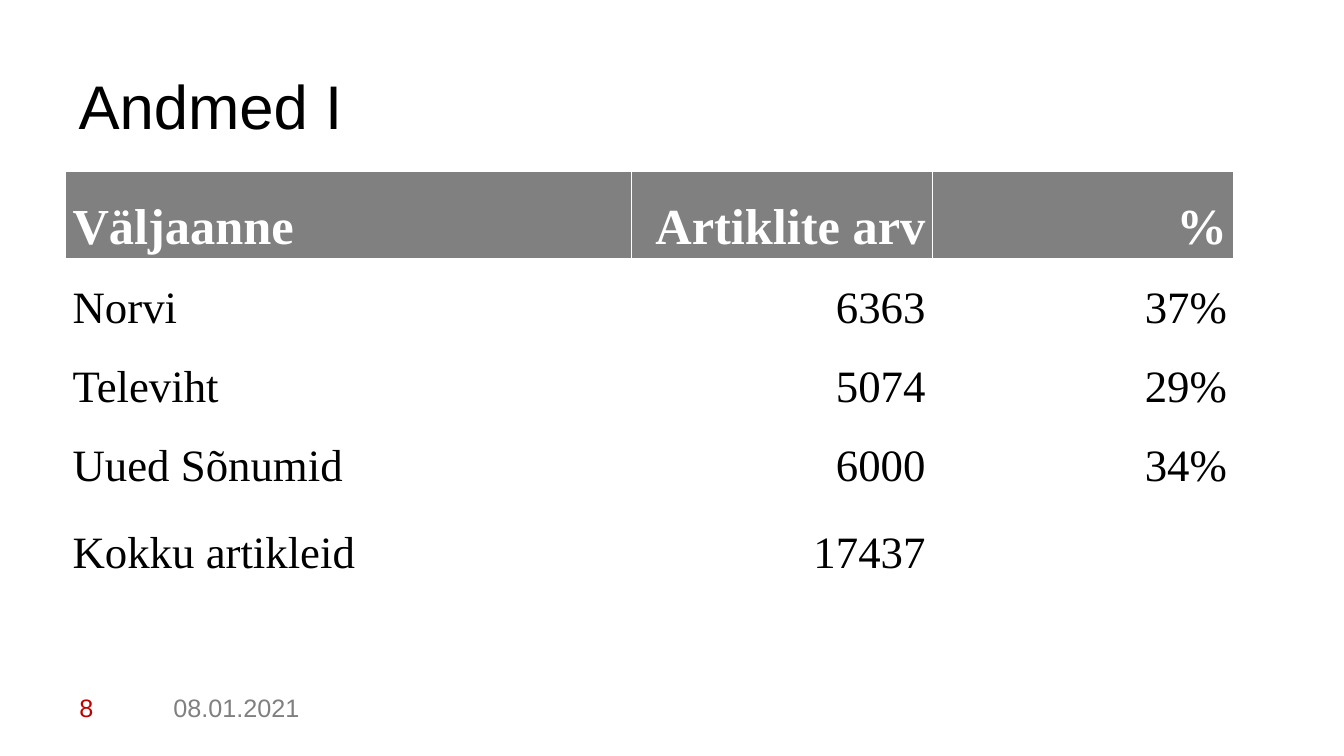
from pptx import Presentation
from pptx.dml.color import RGBColor
from pptx.enum.text import MSO_ANCHOR, PP_ALIGN
from pptx.util import Inches, Pt

COLORS = {"black": "000000", "white": "FFFFFF", "gray": "808080", "red": "BF0000"}
COLUMN_WIDTHS = [5.61, 2.99, 2.99]
ROW_HEIGHTS = [0.87, 0.78, 0.78, 0.87, 0.87]
ARTICLE_ROWS = [
    ("Väljaanne", "Artiklite arv", "%"),
    ("Norvi", "6363", "37%"),
    ("Televiht", "5074", "29%"),
    ("Uued Sõnumid", "6000", "34%"),
    ("Kokku artikleid", "17437", ""),
]


class SlideBuilder:
    heading_font = "Arial"
    table_font = "Times New Roman"

    def __init__(self, prs):
        self.s = prs.slides.add_slide(prs.slide_layouts[5])

    def set_text(self, tf, text, font, size, color, bold=False, align=PP_ALIGN.LEFT):
        p = tf.paragraphs[0]
        p.text = text
        p.alignment = align
        p.font.name = font
        p.font.size = Pt(size)
        p.font.bold = bold
        p.font.color.rgb = RGBColor.from_string(COLORS[color])
        return p

    def title(self, text, left, top, width, height):
        sp = self.s.shapes.title
        sp.left, sp.top = Inches(left), Inches(top)
        sp.width, sp.height = Inches(width), Inches(height)
        sp.text_frame.vertical_anchor = MSO_ANCHOR.MIDDLE
        self.set_text(sp.text_frame, text, self.heading_font, 44, "black")

    def footer(self, text, left, width, color):
        sp = self.s.shapes.add_textbox(Inches(left), Inches(6.82), Inches(width), Inches(0.4))
        tf = sp.text_frame
        tf.word_wrap = True
        tf.vertical_anchor = MSO_ANCHOR.MIDDLE
        self.set_text(tf, text, self.heading_font, 18, color)

    def table(self, rows, left, top, widths, heights):
        frame = self.s.shapes.add_table(
            len(rows), len(widths), Inches(left), Inches(top),
            Inches(sum(widths)), Inches(sum(heights)))
        table = frame.table
        table.horz_banding = False
        for column, width in zip(table.columns, widths):
            column.width = Inches(width)
        for row, height in zip(table.rows, heights):
            row.height = Inches(height)
        for i, values in enumerate(rows):
            for j, value in enumerate(values):
                self.cell(table.cell(i, j), value, i == 0, j == 0)

    def cell(self, cell, text, is_header, is_label):
        cell.margin_left = cell.margin_right = Inches(0.07)
        cell.margin_top = cell.margin_bottom = 0
        cell.fill.solid()
        cell.fill.fore_color.rgb = RGBColor.from_string(COLORS["gray" if is_header else "white"])
        p = self.set_text(
            cell.text_frame, text, self.table_font,
            36 if is_header else 32, "white" if is_header else "black", is_header,
            PP_ALIGN.JUSTIFY if is_label else PP_ALIGN.RIGHT)
        p.line_spacing = 1.5


def main():
    prs = Presentation()
    prs.slide_width, prs.slide_height = Inches(13.33), Inches(7.5)
    slide = SlideBuilder(prs)
    slide.title("Andmed I", 0.68, 0.61, 12.09, 0.86)
    slide.table(ARTICLE_ROWS, 0.65, 1.7, COLUMN_WIDTHS, ROW_HEIGHTS)
    slide.footer("08.01.2021", 1.62, 2.01, "gray")
    slide.footer("8", 0.69, 0.84, "red")
    prs.save("out.pptx")


if __name__ == "__main__":
    main()
